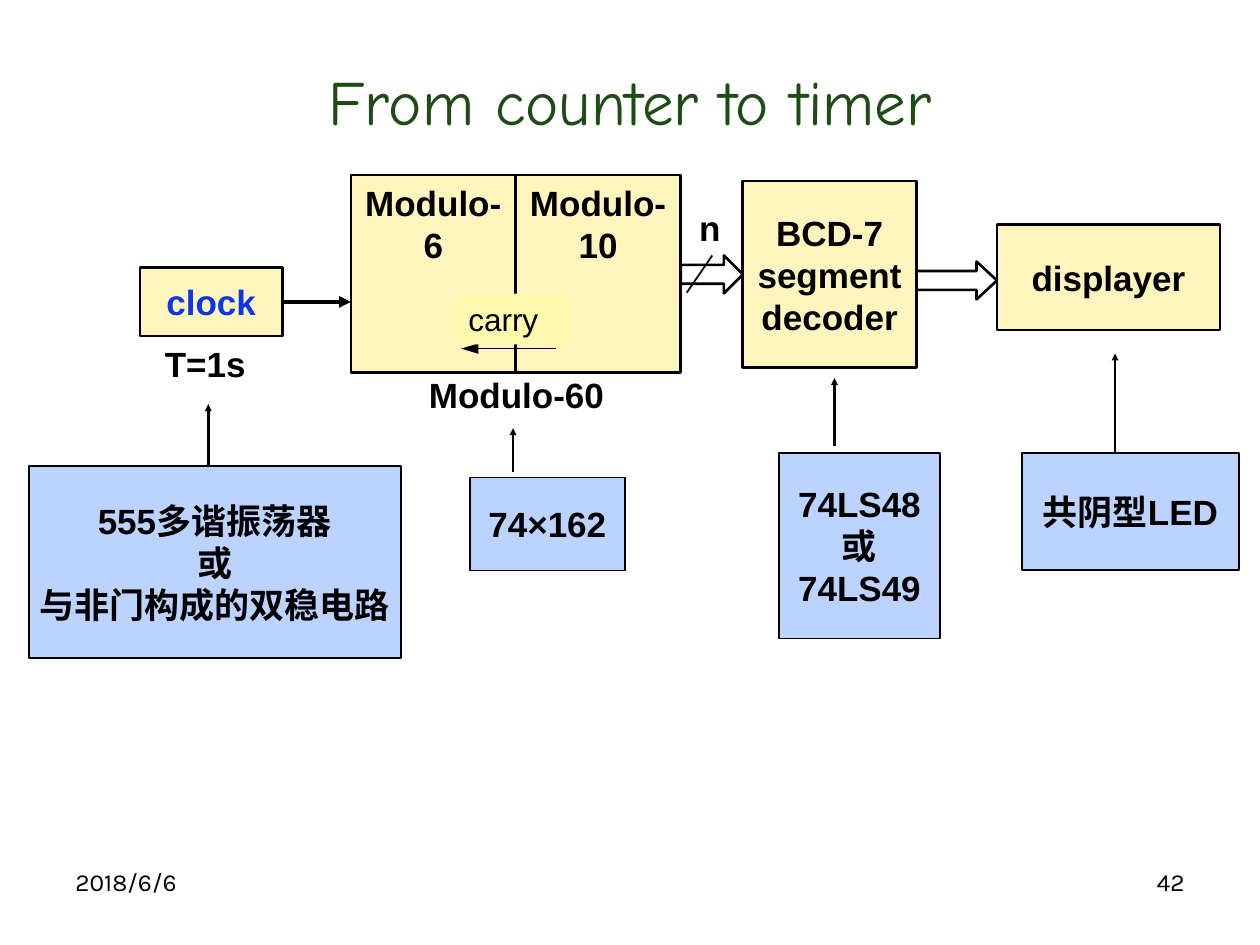
import pptx
import pptx.dml.color
import pptx.enum.shapes
import pptx.enum.text
import pptx.oxml.ns
import pptx.util
from lxml import etree

Pt = pptx.util.Pt
SHAPE = pptx.enum.shapes.MSO_SHAPE
ALIGN = pptx.enum.text.PP_ALIGN
ANCHOR = pptx.enum.text.MSO_ANCHOR
COLORS = {
    "text": "000000",
    "line": "000000",
    "title": "1F4B15",
    "clock": "0C36E6",
    "block": "FEF5BE",
    "part": "BDD3FF",
    "carry": "FEF8AC",
}


def rgb(name):
    return pptx.dml.color.RGBColor.from_string(COLORS[name])


def write(shape, text, size=20, font="Arial", color="text", bold=True,
          align=ALIGN.LEFT, anchor=ANCHOR.TOP, wrap=True):
    """Fill a shape with text, one paragraph for each line."""
    frame = shape.text_frame
    frame.text = text
    frame.word_wrap = wrap
    frame.vertical_anchor = anchor
    for paragraph in frame.paragraphs:
        paragraph.alignment = align
        if size == 20:
            paragraph.line_spacing = Pt(24)
        for run in paragraph.runs:
            run.font.size = Pt(size)
            run.font.name = font
            run.font.bold = bold
            run.font.color.rgb = rgb(color)


def add_label(slide, box, text, **style):
    write(slide.shapes.add_textbox(*map(Pt, box)), text, **style)


def add_figure(slide, kind, box, fill=None, line_width=None):
    shape = slide.shapes.add_shape(kind, *map(Pt, box))
    shape.shadow.inherit = False
    if fill:
        shape.fill.solid()
        shape.fill.fore_color.rgb = rgb(fill)
    else:
        shape.fill.background()
    if line_width:
        shape.line.color.rgb = rgb("line")
        shape.line.width = Pt(line_width)
    else:
        shape.line.fill.background()
    return shape


def add_block(slide, box, text, fill="block", line_width=1.5,
              anchor=ANCHOR.MIDDLE, wrap=False, color="text"):
    shape = add_figure(slide, SHAPE.RECTANGLE, box, fill, line_width)
    write(shape, text, color=color, align=ALIGN.CENTER, anchor=anchor, wrap=wrap)
    return shape


def add_line(slide, start, end, width, head=None):
    """Draw a straight line; head gives the arrowhead's width and length."""
    connector = slide.shapes.add_connector(
        pptx.enum.shapes.MSO_CONNECTOR.STRAIGHT, *map(Pt, start + end))
    connector.line.color.rgb = rgb("line")
    connector.line.width = Pt(width)
    if head:
        etree.SubElement(connector.line._get_or_add_ln(),
                         pptx.oxml.ns.qn("a:tailEnd"),
                         type="triangle", w=head[0], len=head[1])
    etree.SubElement(connector._element.spPr, pptx.oxml.ns.qn("a:effectLst"))
    return connector


def add_bus(slide, box, head_ratio):
    arrow = add_figure(slide, SHAPE.RIGHT_ARROW, box, line_width=1.5)
    arrow.adjustments[1] = head_ratio


def add_part(slide, box, text, arrow_x, arrow_start, arrow_end):
    """A chip box with an arrow up to the block that it builds."""
    add_block(slide, box, text, fill="part", line_width=1)
    add_line(slide, (arrow_x, arrow_start), (arrow_x, arrow_end), 1.5, ("sm", "sm"))


def main():
    presentation = pptx.Presentation()
    presentation.slide_width, presentation.slide_height = Pt(720), Pt(540)
    slide = presentation.slides.add_slide(presentation.slide_layouts[6])

    # Title and footer
    add_label(slide, (36, 21.6, 648, 71.3), "From counter to timer", size=36,
              font="Comic Neue", color="title", bold=False,
              align=ALIGN.CENTER, anchor=ANCHOR.MIDDLE)
    for left, text, align in ((36, "2018/6/6", ALIGN.LEFT), (516, "42", ALIGN.RIGHT)):
        add_label(slide, (left, 491.8, 168, 37.4), text, size=14, font="Karla",
                  bold=False, align=align)

    # Clock
    clock = add_block(slide, (80, 153, 81.4, 39), "clock", color="clock")
    pulse = add_line(slide, (161.4, 172.5), (200.5, 172.5), 2.25, ("med", "med"))
    pulse.begin_connect(clock, 3)
    add_label(slide, (87.1, 192.2, 64, 31), "T=1s")

    # Modulo-60 counter made of two stages
    for stage, text in enumerate(("Modulo-6", "Modulo-10")):
        add_block(slide, (200.5 + 94.2 * stage, 100, 94.2, 113), text,
                  anchor=ANCHOR.TOP, wrap=True)
    add_label(slide, (238, 209.7, 127.5, 31), "Modulo-60")
    add_line(slide, (317.8, 199.2), (263.5, 199.2), 1, ("med", "lg"))
    carry = add_figure(slide, SHAPE.RECTANGLE, (260.5, 167.8, 65.5, 29), "carry")
    write(carry, "carry", size=18, bold=False)

    # Bus of n wires, decoder and display
    add_bus(slide, (389, 146, 35.5, 21.6), 0.5)
    add_line(slide, (407, 146), (392.4, 167.3), 1)
    add_label(slide, (392.4, 114.2, 35.3, 31), "n")
    add_block(slide, (424.5, 103.5, 99.2, 106.5), "BCD-7 segment decoder", wrap=True)
    add_bus(slide, (523.7, 149.5, 46, 21.6), 0.54)
    add_block(slide, (569.7, 128.2, 127.5, 60.3), "displayer")

    # Parts for each block
    add_part(slide, (16.4, 266.3, 212.6, 109.8), "555多谐振荡器\n或\n与非门构成的双稳电路",
             119, 266.3, 231)
    add_part(slide, (268.5, 272.8, 88.6, 53.2), "74×162", 293.2, 269.5, 244.7)
    add_part(slide, (445, 258.7, 92.2, 106.2), "74LS48\n或\n74LS49", 476.8, 255, 216)
    add_part(slide, (584, 258.7, 124, 67.2), "共阴型LED", 637.2, 258.7, 202)

    presentation.save("out.pptx")


if __name__ == "__main__":
    main()
